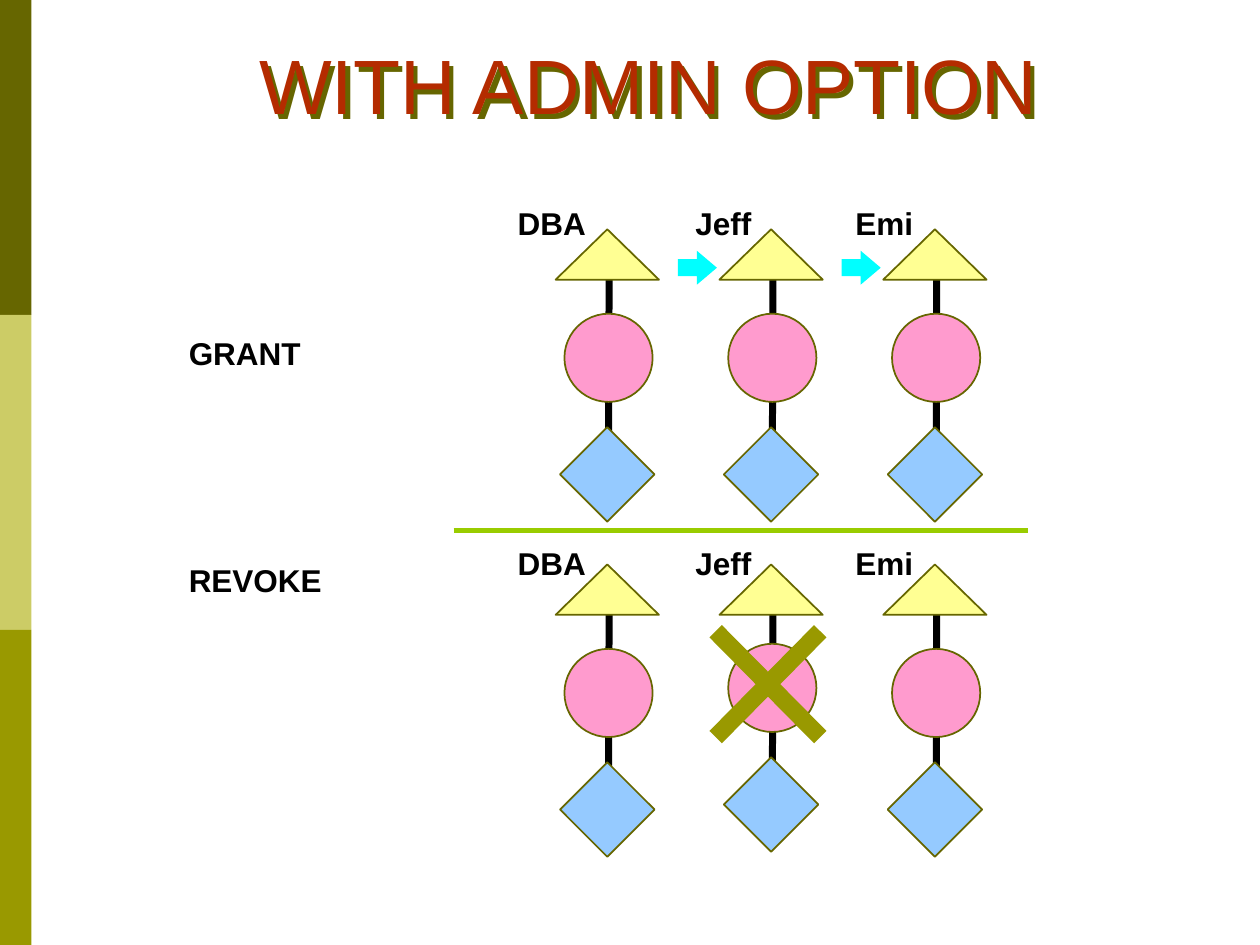
from lxml import etree
from pptx import Presentation
from pptx.dml.color import RGBColor
from pptx.enum.shapes import MSO_CONNECTOR, MSO_SHAPE
from pptx.enum.text import PP_ALIGN
from pptx.oxml import parse_xml
from pptx.oxml.ns import nsdecls, qn
from pptx.util import Inches, Pt

RECTANGLE = MSO_SHAPE.RECTANGLE
TRIANGLE = MSO_SHAPE.ISOSCELES_TRIANGLE
CIRCLE = MSO_SHAPE.OVAL
DIAMOND = MSO_SHAPE.DIAMOND
ARROW = MSO_SHAPE.RIGHT_ARROW
STRAIGHT = MSO_CONNECTOR.STRAIGHT
CENTER = PP_ALIGN.CENTER

color = RGBColor.from_string

prs = Presentation()
prs.slide_width = Inches(10)
prs.slide_height = Inches(7.5)
slide = prs.slides.add_slide(prs.slide_layouts[6])
shapes = slide.shapes


def add_figure(kind, left, top, width, height, fill, outline=None):
    figure = shapes.add_shape(kind, Inches(left), Inches(top), Inches(width), Inches(height))
    figure.shadow.inherit = False
    figure.fill.solid()
    figure.fill.fore_color.rgb = color(fill)
    if outline:
        figure.line.color.rgb = color(outline)
        figure.line.width = Pt(1)
    else:
        figure.line.fill.background()
    return figure


def add_line(x1, y1, x2, y2, stroke, width):
    line = shapes.add_connector(STRAIGHT, Inches(x1), Inches(y1), Inches(x2), Inches(y2))
    line.line.color.rgb = color(stroke)
    line.line.width = Pt(width)
    etree.SubElement(line._element.spPr, qn("a:effectLst"))


for band, fill in enumerate(["666600", "CCCC66", "999900"]):
    add_figure(RECTANGLE, 0, 2.5 * band, 0.25, 2.5, fill)

title = shapes.add_textbox(Inches(0.9), Inches(0.21), Inches(8.5), Inches(1.25))
title.text_frame.word_wrap = True
title.text_frame.margin_top = Inches(0.09)
heading = title.text_frame.paragraphs[0]
heading.alignment = CENTER
run = heading.add_run()
run.text = "WITH ADMIN OPTION"
run.font.name = "Arial"
run.font.size = Pt(44)
run.font.color.rgb = color("B42B00")
title._element.spPr.append(parse_xml(
    f'<a:effectLst {nsdecls("a")}><a:outerShdw dist="45720" dir="2700000" algn="ctr" '
    'rotWithShape="0"><a:srgbClr val="666600"/></a:outerShdw></a:effectLst>'))

for row_top, jeff_lift in [(1.82, 0), (4.48, 0.04)]:
    for column, lift in enumerate([0, jeff_lift, 0]):
        center = 4.82 + 1.3 * column
        top = row_top - lift
        add_line(center + 0.015, top + 0.19, center + 0.01, top + 1.83, "000000", 4)
        add_figure(TRIANGLE, center - 0.41, row_top, 0.82, 0.4, "FFFF93", "666600")
        add_figure(CIRCLE, center - 0.34, top + 0.67, 0.7, 0.7, "FF9BCE", "666600")
        add_figure(DIAMOND, center - 0.375, top + 1.57, 0.75, 0.75, "95CAFF", "666600")

for left in (5.38, 6.68):
    grant_arrow = add_figure(ARROW, left, 1.99, 0.31, 0.27, "00FFFF")
    grant_arrow.adjustments[1] = 0.59

add_line(3.6, 4.21, 8.16, 4.21, "99CC00", 3)
add_line(5.68, 5.01, 6.51, 5.85, "999900", 10)
add_line(6.51, 5.01, 5.68, 5.85, "999900", 10)

labels = [("GRANT", 1.4, 2.6, 1.09), ("REVOKE", 1.4, 4.4, 1.26)]
for top in (1.57, 4.27):
    labels += [("DBA", 4.01, top, 0.77), ("Jeff", 5.42, top, 0.65), ("Emi", 6.69, top, 0.67)]

for text, left, top, width in labels:
    label = shapes.add_textbox(Inches(left), Inches(top), Inches(width), Inches(0.4))
    label.text_frame.word_wrap = False
    run = label.text_frame.paragraphs[0].add_run()
    run.text = text
    run.font.name = "Arial"
    run.font.size = Pt(18)
    run.font.bold = True
    run.font.color.rgb = color("000000")

prs.save("out.pptx")
